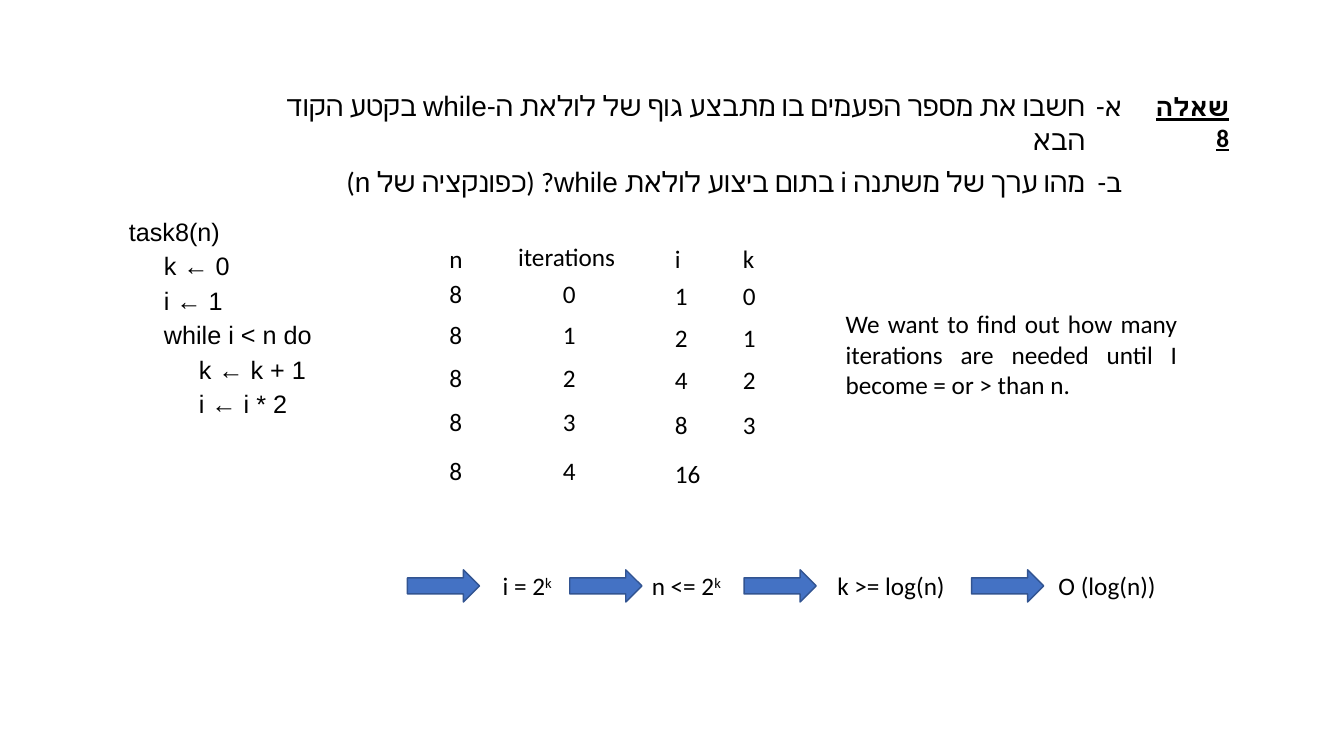
"""Build the slide that traces the loop of question 8."""
import pptx
import pptx.util
import pptx.dml.color
import pptx.enum.shapes
import pptx.enum.text
import lxml.etree

Pt = pptx.util.Pt
ALIGN = pptx.enum.text.PP_ALIGN
NS = "http://schemas.openxmlformats.org/drawingml/2006/main"
COLORS = {"text": "000000", "arrow": "4472C4", "edge": "325491"}
HEBREW = "Times New Roman"

TITLE = "שאלה 8"
QUESTIONS = [
    [("חשבו את מספר הפעמים בו מתבצע גוף של לולאת ה-", HEBREW), ("while", "Arial"),
     (" בקטע הקוד הבא", HEBREW)],
    [("מהו ערך של משתנה ", HEBREW), ("i", "Arial"), (" בתום ביצוע לולאת ", HEBREW),
     ("while", "Arial"), ("? (כפונקציה של ", HEBREW), ("n", "Arial"), (")", HEBREW)],
]
CODE = [(0, "task8(n)"), (1, "k ← 0"), (1, "i ← 1"), (1, "while i < n do"),
        (2, "k ← k + 1"), (2, "i ← i * 2")]
TRACE = [
    {"head": "n", "head_x": 314, "x": 314, "dy": 0, "values": ["8", "8", "8", "8", "8"]},
    {"head": "iterations", "head_x": 363, "x": 395, "dy": 0, "values": ["0", "1", "2", "3", "4"]},
    {"head": "i", "head_x": 475, "x": 475, "dy": 2, "values": ["1", "2", "4", "8", "16"]},
    {"head": "k", "head_x": 523.5, "x": 523.5, "dy": 2, "values": ["0", "1", "2", "3"]},
]
ROW_TOPS = [195, 224.5, 255, 287, 322]
NOTE = "We want to find out how many iterations are needed until I become = or > than n."
STEPS = [(291, 352, 54, "i = 2", "k"), (407, 458.5, 80, "n <= 2", "k"),
         (531.5, 591, 94, "k >= log(n)", ""), (694, 749, 94, "O (log(n))", "")]


def add_text(s, text, x, y, w, h=29, size=18, font="Calibri", bold=False, underline=False,
             align=ALIGN.JUSTIFY, before=0, rtl=False, numbering=None, indent=25):
    """Add a text box; text is a string or a list of (level, runs), a run being (text, font, raise)."""
    tf = s.shapes.add_textbox(Pt(x), Pt(y), Pt(w), Pt(h)).text_frame
    tf.word_wrap = True
    paragraphs = [(0, [(text, font, 0)])] if isinstance(text, str) else text
    for n, (level, runs) in enumerate(paragraphs):
        p = tf.add_paragraph() if n else tf.paragraphs[0]
        p.alignment = align
        p.space_before = Pt(before)
        props = p._p.get_or_add_pPr()
        if level:
            props.set("marL", str(Pt(indent * level)))
        if rtl:
            props.set("rtl", "1")
        if numbering:
            props.set("indent", str(-Pt(indent)))
            lxml.etree.SubElement(props, f"{{{NS}}}buAutoNum", type=numbering)
        for content, face, lift in runs:
            r = p.add_run()
            r.text = content
            r.font.name = face
            r.font.size = Pt(size)
            r.font.bold = bold
            r.font.underline = underline
            r.font.color.rgb = pptx.dml.color.RGBColor.from_string(COLORS["text"])
            if lift:
                r._r.get_or_add_rPr().set("baseline", str(lift))
            if rtl:
                lxml.etree.SubElement(r._r.get_or_add_rPr(), f"{{{NS}}}cs", typeface="Calibri")


def add_arrow(s, x, y):
    """Add one block arrow pointing right."""
    sp = s.shapes.add_shape(pptx.enum.shapes.MSO_SHAPE.RIGHT_ARROW, Pt(x), Pt(y), Pt(51.5), Pt(23))
    sp.shadow.inherit = False
    sp.fill.solid()
    sp.fill.fore_color.rgb = pptx.dml.color.RGBColor.from_string(COLORS["arrow"])
    sp.line.color.rgb = pptx.dml.color.RGBColor.from_string(COLORS["edge"])
    sp.line.width = Pt(1)


def main():
    """Lay out the question, the code, the trace and the conclusion."""
    prs = pptx.Presentation()
    prs.slide_width, prs.slide_height = Pt(960), Pt(540)
    s = prs.slides.add_slide(prs.slide_layouts[6])

    add_text(s, TITLE, 811.5, 62, 73.5, font=HEBREW, bold=True, underline=True, rtl=True)
    questions = [(1, [(text, font, 0) for text, font in runs]) for runs in QUESTIONS]
    add_text(s, questions, 165, 60, 644, 62, size=20, align=ALIGN.RIGHT, before=6,
             rtl=True, numbering="hebrew2Minus", indent=27)
    code = [(level, [(line, "Arial", 0)]) for level, line in CODE]
    add_text(s, code, 85, 151, 174, 153, align=ALIGN.LEFT, before=3)

    for column in TRACE:
        head = column["head"]
        add_text(s, head, column["head_x"], 168.5 if len(head) > 1 else 170, 86 if len(head) > 1 else 31)
        for top, value in zip(ROW_TOPS, column["values"]):
            add_text(s, value, column["x"], top + column["dy"], 31 if len(value) == 1 else 36)

    add_text(s, NOTE, 597, 217, 251, 73)
    for arrow_x, text_x, width, base, power in STEPS:
        add_arrow(s, arrow_x, 407)
        runs = [(base, "Calibri", 0)] + ([(power, "Calibri", 30000)] if power else [])
        add_text(s, [(0, runs)], text_x, 404, width)

    prs.save("out.pptx")


if __name__ == "__main__":
    main()
